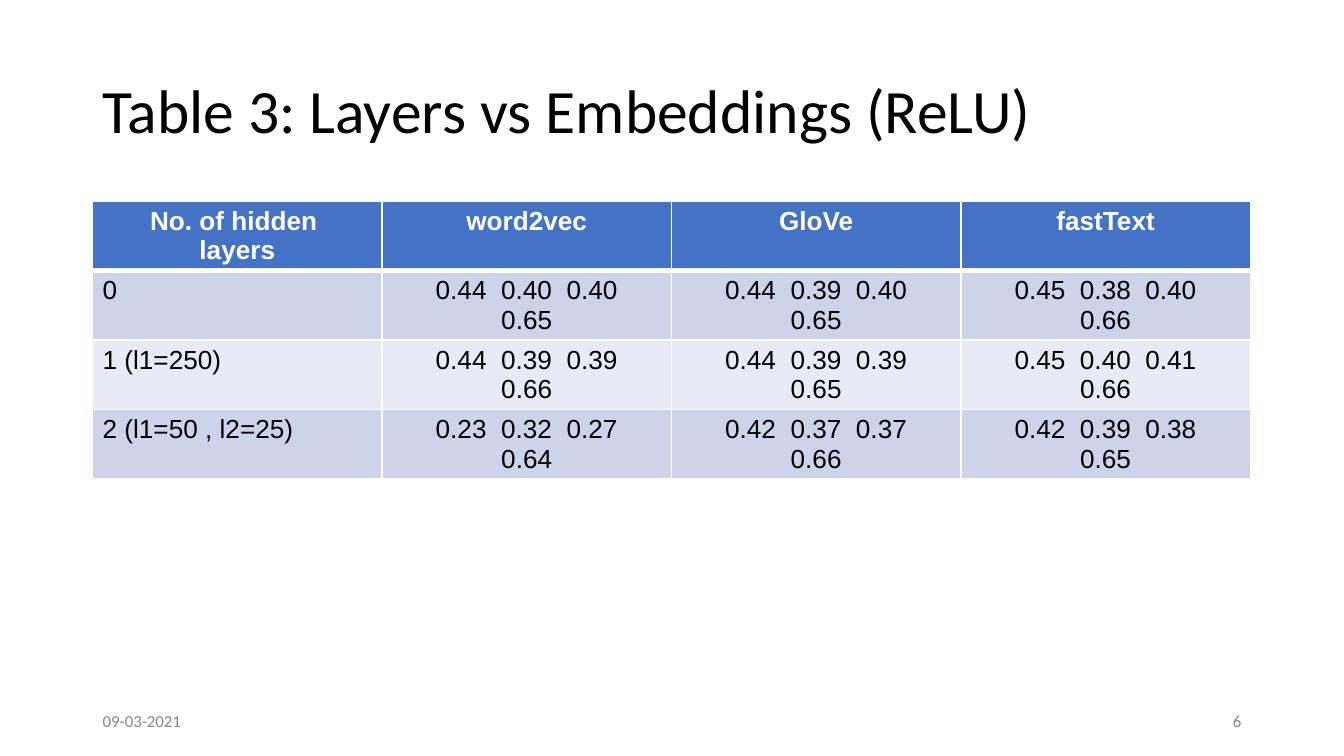
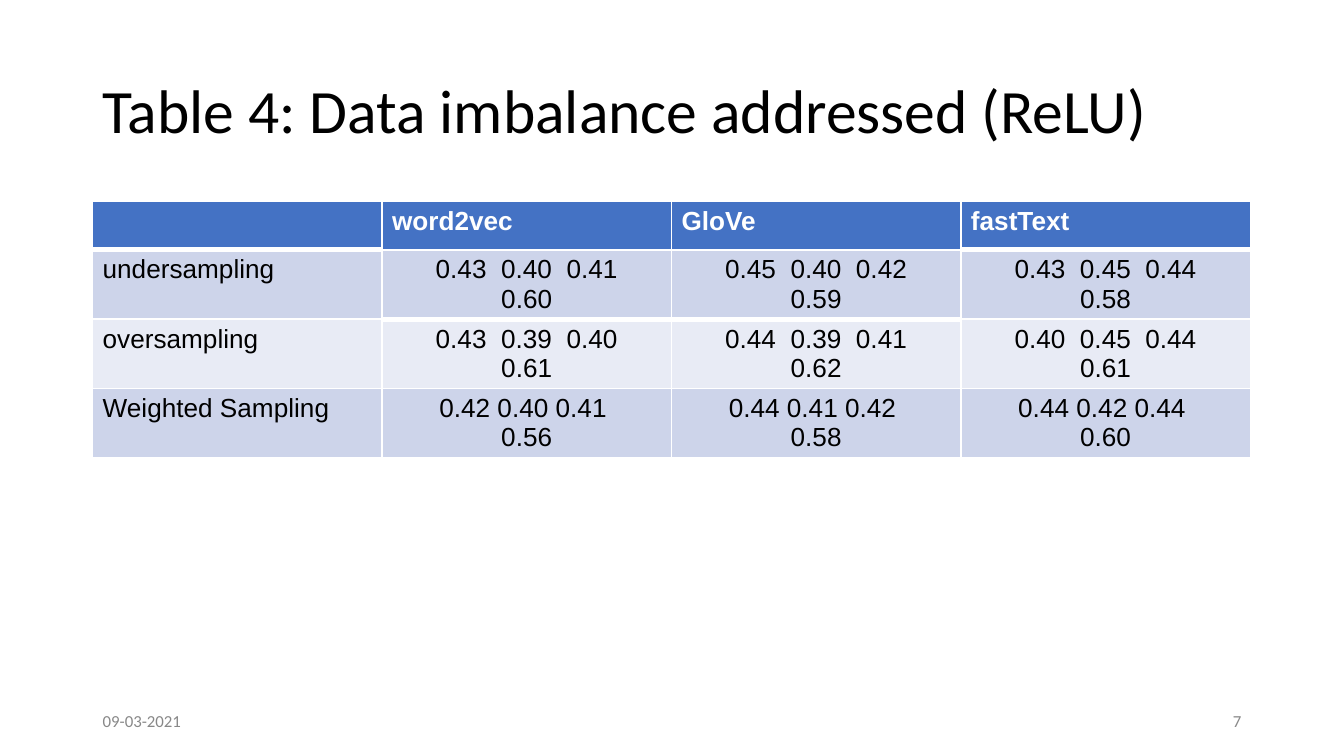
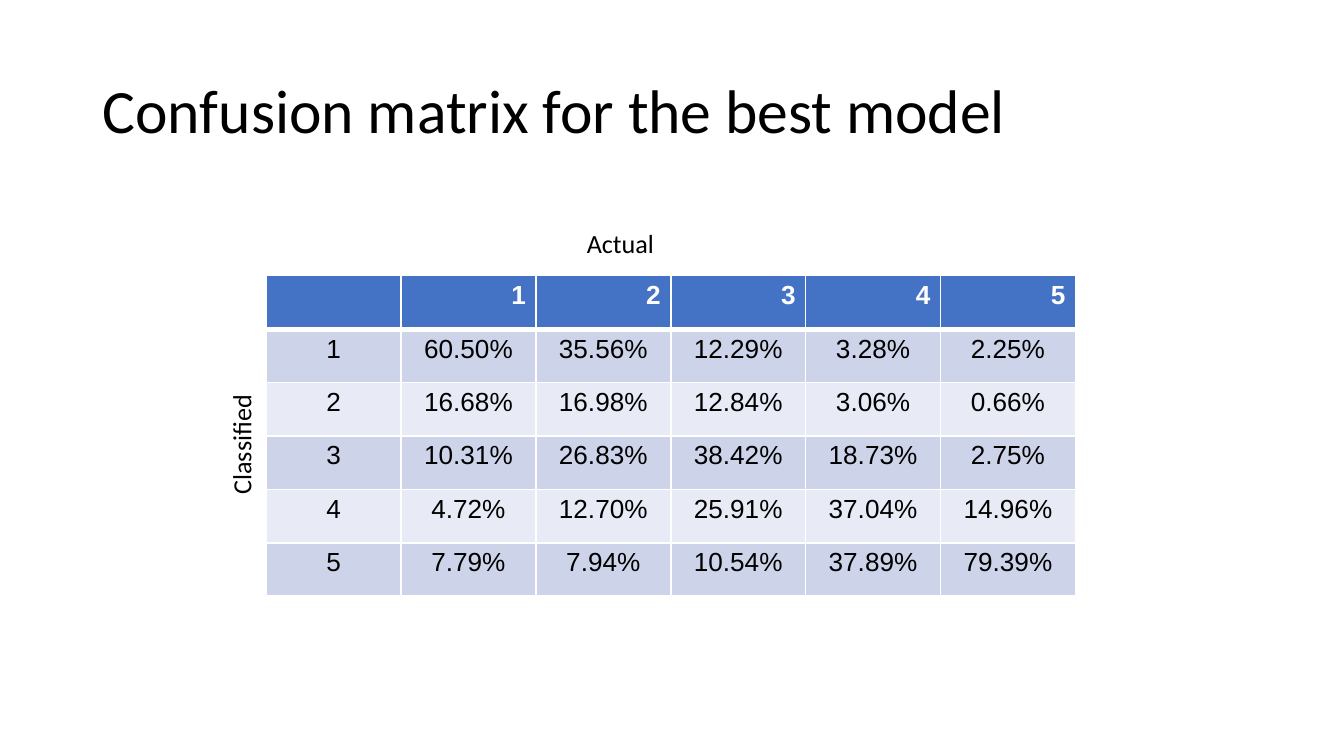
from dataclasses import dataclass

from lxml import etree
from pptx import Presentation
from pptx.dml.color import RGBColor
from pptx.enum.text import MSO_ANCHOR, MSO_AUTO_SIZE, PP_ALIGN
from pptx.oxml.ns import qn
from pptx.util import Cm, Pt

LEFT, CENTER, RIGHT = PP_ALIGN.LEFT, PP_ALIGN.CENTER, PP_ALIGN.RIGHT
TOP, MIDDLE = MSO_ANCHOR.TOP, MSO_ANCHOR.MIDDLE
NO_AUTOFIT = MSO_AUTO_SIZE.NONE
TITLE_ONLY = 5


@dataclass(frozen=True)
class Theme:
    heading_font: str = "Calibri"
    table_font: str = "Arial"
    title_size: int = 33
    body_size: int = 14
    footer_size: int = 9
    text: str = "000000"
    muted: str = "888888"
    header_text: str = "FFFFFF"
    header_fill: str = "4472C4"
    band_fills: tuple = ("CDD4EA", "E8EBF5")
    border: str = "FFFFFF"
    thin: int = 1
    thick: int = 3


THEME = Theme()
DATE = "09-03-2021"
MARGIN = 1.75
CONTENT_WIDTH = 21.9
FOOTER_TOP, FOOTER_WIDTH, FOOTER_HEIGHT = 13.24, 5.72, 0.76

# Table places are (left, top, column width) in centimetres;
# thick_below names, column by column, the row with the thick line under it.
SLIDES = [
    {
        "title": "Table 3: Layers vs Embeddings (ReLU)",
        "number": 6,
        "rows": [
            ("No. of hidden \nlayers", "word2vec", "GloVe", "fastText"),
            ("0", "0.44  0.40  0.40\n0.65", "0.44  0.39  0.40\n0.65", "0.45  0.38  0.40\n0.66"),
            ("1 (l1=250)", "0.44  0.39  0.39\n0.66", "0.44  0.39  0.39\n0.65", "0.45  0.40  0.41\n0.66"),
            ("2 (l1=50 , l2=25)", "0.23  0.32  0.27\n0.64", "0.42  0.37  0.37\n0.66", "0.42  0.39  0.38\n0.65"),
        ],
        "place": (MARGIN, 3.81, 5.47),
        "row_heights": (0.76, 0.76),
        "header_align": CENTER,
        "label_align": LEFT,
        "thick_below": (0, 0, 0, 0),
    },
    {
        "title": "Table 4: Data imbalance addressed (ReLU)",
        "number": 7,
        "rows": [
            ("", "word2vec", "GloVe", "fastText"),
            ("undersampling", "0.43  0.40  0.41\n0.60", "0.45  0.40  0.42\n0.59", "0.43  0.45  0.44\n0.58"),
            ("oversampling", "0.43  0.39  0.40\n0.61", "0.44  0.39  0.41\n0.62", "0.40  0.45  0.44\n0.61"),
            ("Weighted Sampling", "0.42 0.40 0.41 \n0.56", "0.44 0.41 0.42 \n0.58", "0.44 0.42 0.44 \n0.60"),
        ],
        "place": (MARGIN, 3.81, 5.47),
        "row_heights": (0.88, 0.76),
        "header_align": LEFT,
        "label_align": LEFT,
        "thick_below": (0, 1, 1, 0),
    },
    {
        "title": "Confusion matrix for the best model",
        "rows": [
            ("", "1", "2", "3", "4", "5"),
            ("1", "60.50%", "35.56%", "12.29%", "3.28%", "2.25%"),
            ("2", "16.68%", "16.98%", "12.84%", "3.06%", "0.66%"),
            ("3", "10.31%", "26.83%", "38.42%", "18.73%", "2.75%"),
            ("4", "4.72%", "12.70%", "25.91%", "37.04%", "14.96%"),
            ("5", "7.79%", "7.94%", "10.54%", "37.89%", "79.39%"),
        ],
        "place": (5.03, 5.21, 2.55),
        "row_heights": (1.01, 1.01),
        "header_align": RIGHT,
        "label_align": CENTER,
        "thick_below": (0, 0, 0, 0, 0, 0),
        "axis_labels": [
            ("Actual", (10.9, 4.19, 2.39, 0.78), 0),
            ("Classified", (3.05, 7.65, 3.0, 0.78), 270),
        ],
    },
]


def write_text(frame, text, size, color, font=THEME.heading_font, align=LEFT, bold=False):
    """Write one paragraph per line of text."""
    for index, line in enumerate(text.split("\n")):
        paragraph = frame.add_paragraph() if index else frame.paragraphs[0]
        paragraph.alignment = align
        run = paragraph.add_run()
        run.text = line
        run.font.name = font
        run.font.size = Pt(size)
        run.font.bold = bold
        run.font.color.rgb = RGBColor.from_string(color)


def place_frame(shape, box, anchor):
    shape.left, shape.top, shape.width, shape.height = map(Cm, box)
    frame = shape.text_frame
    frame.word_wrap = True
    frame.auto_size = NO_AUTOFIT
    frame.vertical_anchor = anchor
    frame.margin_left = frame.margin_right = Cm(0.19)
    frame.margin_top = frame.margin_bottom = Cm(0.1)
    return frame


def add_title(slide, text):
    frame = place_frame(slide.shapes.title, (MARGIN, 0.76, CONTENT_WIDTH, 2.76), MIDDLE)
    write_text(frame, text, THEME.title_size, THEME.text)
    frame.paragraphs[0].line_spacing = 0.9


def add_label(slide, text, box, size, color, align=LEFT, anchor=TOP, rotation=0):
    shape = slide.shapes.add_textbox(*map(Cm, box))
    shape.rotation = rotation
    write_text(place_frame(shape, box, anchor), text, size, color, align=align)


def add_footer(slide, number):
    right_box = MARGIN + CONTENT_WIDTH - FOOTER_WIDTH
    for text, left, align in ((DATE, MARGIN, LEFT), (str(number), right_box, RIGHT)):
        box = (left, FOOTER_TOP, FOOTER_WIDTH, FOOTER_HEIGHT)
        add_label(slide, text, box, THEME.footer_size, THEME.muted, align, MIDDLE)


def set_borders(cell, top, bottom):
    properties = cell._tc.get_or_add_tcPr()
    widths = {"lnL": THEME.thin, "lnR": THEME.thin, "lnT": top, "lnB": bottom}
    for side, width in widths.items():
        line = etree.SubElement(properties, qn(f"a:{side}"), w=str(Pt(width)))
        fill = etree.SubElement(line, qn("a:solidFill"))
        etree.SubElement(fill, qn("a:srgbClr"), val=THEME.border)


def format_cell(cell, text, row, column, content):
    is_header = row == 0
    if is_header:
        align, color, fill = content["header_align"], THEME.header_text, THEME.header_fill
    else:
        align = CENTER if column else content["label_align"]
        color, fill = THEME.text, THEME.band_fills[(row - 1) % 2]
    cell.margin_left = cell.margin_right = Cm(0.19)
    cell.margin_top = cell.margin_bottom = Cm(0.1)
    write_text(cell.text_frame, text, THEME.body_size, color, THEME.table_font, align, is_header)
    thick_row = content["thick_below"][column]
    set_borders(
        cell,
        top=THEME.thick if row == thick_row + 1 else THEME.thin,
        bottom=THEME.thick if row == thick_row else THEME.thin,
    )
    cell.fill.solid()
    cell.fill.fore_color.rgb = RGBColor.from_string(fill)


def add_data_table(slide, content):
    rows = content["rows"]
    left, top, column_width = content["place"]
    header_height, row_height = content["row_heights"]
    row_count, column_count = len(rows), len(rows[0])
    table = slide.shapes.add_table(
        row_count, column_count, Cm(left), Cm(top),
        Cm(column_width * column_count),
        Cm(header_height + row_height * (row_count - 1)),
    ).table
    for column in table.columns:
        column.width = Cm(column_width)
    for row, values in enumerate(rows):
        table.rows[row].height = Cm(row_height if row else header_height)
        for column, text in enumerate(values):
            format_cell(table.cell(row, column), text, row, column, content)


def main():
    presentation = Presentation()
    presentation.slide_width, presentation.slide_height = Cm(25.4), Cm(14.29)
    for content in SLIDES:
        slide = presentation.slides.add_slide(presentation.slide_layouts[TITLE_ONLY])
        add_title(slide, content["title"])
        add_data_table(slide, content)
        for text, box, rotation in content.get("axis_labels", []):
            add_label(slide, text, box, THEME.body_size, THEME.text, rotation=rotation)
        if "number" in content:
            add_footer(slide, content["number"])
    presentation.save("out.pptx")


if __name__ == "__main__":
    main()
